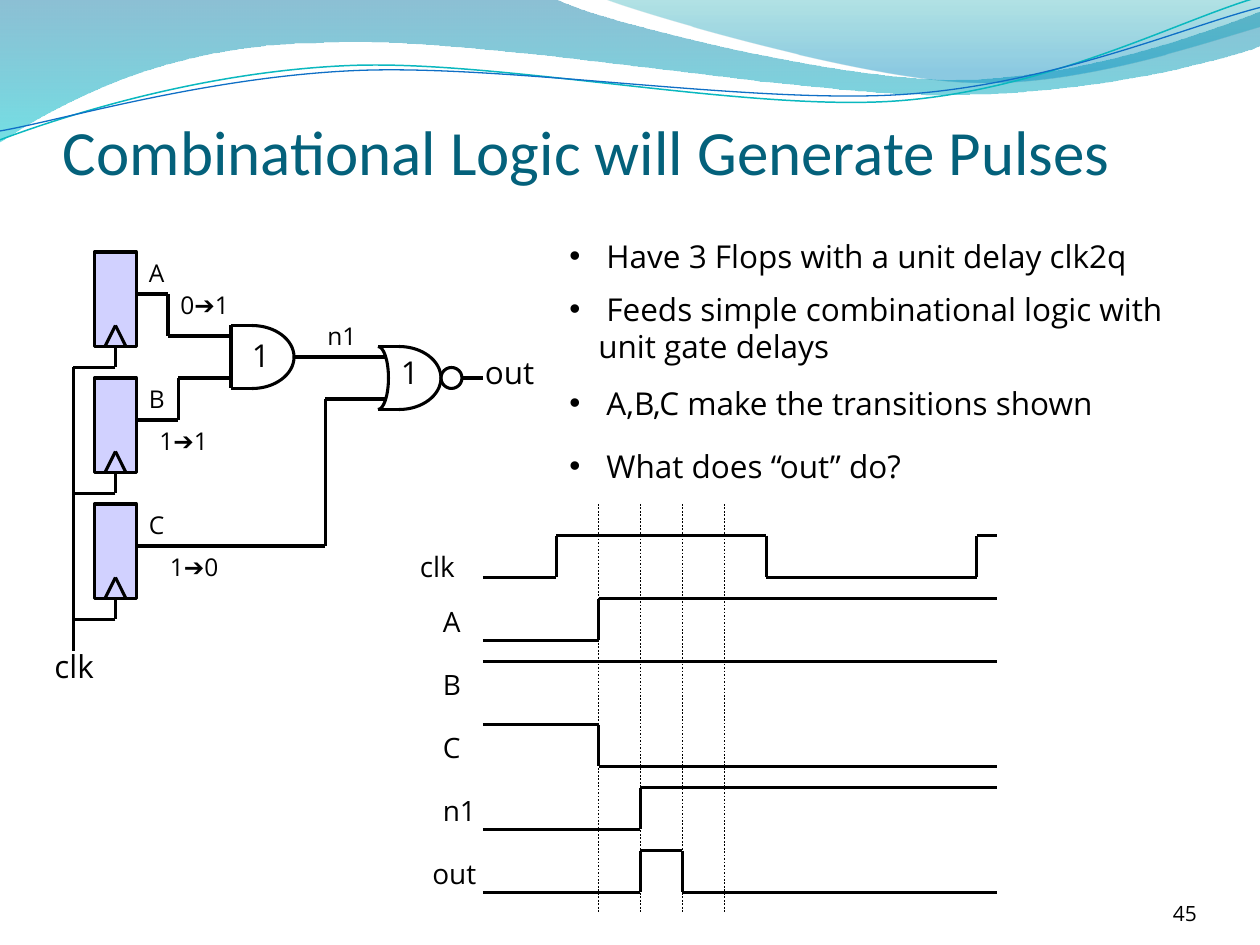
from math import cos, radians, sin

from lxml.etree import Element, SubElement
from pptx import Presentation
from pptx.dml.color import RGBColor
from pptx.enum.dml import MSO_LINE
from pptx.enum.shapes import MSO_CONNECTOR, MSO_SHAPE
from pptx.enum.text import MSO_ANCHOR, MSO_AUTO_SIZE, PP_ALIGN
from pptx.oxml.ns import qn
from pptx.util import Inches, Pt

COLORS = {"ink": "000000", "title": "04617B", "flop": "6969FF",
          "teal": "0AB8BF", "blue": "0F6FC6", "band_top": "0074A1",
          "band_low": "00C6CF", "corner_top": "00A1A9", "corner_low": "008BBF"}
BODY_FONT = "Open Sans"
GRID = 1 / 12  # circuit and waveforms sit on a grid of twelfths of an inch
TILT = 2.7


def set_alpha(color_node, percent):
    """Give a colour element an opacity in percent."""
    SubElement(color_node, qn("a:alpha")).set("val", str(percent * 1000))


def style_line(shape, color="ink", width=1.75):
    """Set line colour and width."""
    shape.line.color.rgb = RGBColor.from_string(COLORS[color])
    shape.line.width = Pt(width)


def add_text(page, box, text, size, font=BODY_FONT, color="ink", wrap=False,
             inset=True):
    """Place one paragraph in box (left, top, width, height in inches)."""
    frame = page.shapes.add_textbox(*map(Inches, box)).text_frame
    frame.word_wrap = wrap
    frame.auto_size = MSO_AUTO_SIZE.NONE if wrap else MSO_AUTO_SIZE.SHAPE_TO_FIT_TEXT
    if not inset:
        frame.margin_left = frame.margin_right = frame.margin_bottom = 0
        frame.vertical_anchor = MSO_ANCHOR.BOTTOM
    para = frame.paragraphs[0]
    para.text = text
    span = para.runs[0].font
    span.name, span.size = font, Pt(size)
    span.color.rgb = RGBColor.from_string(COLORS[color])
    return para


def to_inches(origin, cell):
    """Turn a grid cell counted from origin into inches."""
    return tuple(start + step * GRID for start, step in zip(origin, cell))


def add_label(page, origin, cell, text, size, width):
    """Place a short label at a grid cell counted from origin."""
    box = (*to_inches(origin, cell), width, size * 0.0175 + 0.085)
    add_text(page, box, text, size)


def add_wire(page, origin, points, width=1.75, dash=None):
    """Join grid points with straight lines."""
    spots = [tuple(map(Inches, to_inches(origin, point))) for point in points]
    for begin, end in zip(spots, spots[1:]):
        wire = page.shapes.add_connector(MSO_CONNECTOR.STRAIGHT, *begin, *end)
        style_line(wire, width=width)
        if dash:
            wire.line.dash_style = dash
        SubElement(wire._element.spPr, qn("a:effectLst"))


def add_outline(page, start, parts, close=False):
    """Draw an unfilled outline; a part of two points or more is a curve."""
    spots = [(Inches(x), Inches(y)) for part in parts for x, y in part]
    builder = page.shapes.build_freeform(*map(Inches, start))
    builder.add_line_segments(spots, close=close)
    shape = builder.convert_to_shape()
    shape.shadow.inherit = False
    shape.fill.background()
    lines = iter(list(shape._element.spPr.iter(qn("a:lnTo"))))
    for part in parts:
        steps = [next(lines) for _ in part]
        if len(steps) == 3:
            curve = Element(qn("a:cubicBezTo"))
            steps[0].addprevious(curve)
            for step in steps:
                curve.append(step[0])
                step.getparent().remove(step)
    return shape


def pair_up(*parts):
    """Split flat coordinate tuples into points."""
    return [list(zip(part[::2], part[1::2])) for part in parts]


def draw_band(page, start, parts, stops):
    """Draw one shaded band with see-through gradient stops."""
    band = add_outline(page, start, parts, close=True)
    band.line.fill.background()
    band.fill.gradient()
    band.fill.gradient_angle = 270
    for stop, (position, color, _) in zip(band.fill.gradient_stops, stops):
        stop.position = position
        stop.color.rgb = RGBColor.from_string(COLORS[color])
    for node, stop in zip(band._element.spPr.iter(qn("a:srgbClr")), stops):
        set_alpha(node, stop[2])


def draw_thread(page, center, start, parts, color, width):
    """Draw a thin curve, levelled around center and then tilted."""
    def level(point):
        across, down = point[0] - center[0], point[1] - center[1]
        turn = radians(TILT)
        return (center[0] + across * cos(turn) - down * sin(turn),
                center[1] + across * sin(turn) + down * cos(turn))
    thread = add_outline(page, level(start), [list(map(level, part)) for part in parts])
    thread.rotation = 360 - TILT
    style_line(thread, color, width)


def draw_waves(page):
    """Draw the shaded bands and two thin curves along the top."""
    draw_band(page, (0, -0.01),
              pair_up((4.4, -0.01), (4.76, 0.17, 6.64, 0.63, 7.58, 0.63),
                      (8.53, 0.63, 9.58, 0.26, 10, 0.09), (10.01, 0.36),
                      (9.83, 0.44, 8.7, 0.76, 7.46, 0.75),
                      (6.22, 0.75, 3.82, 0.28, 2.57, 0.34),
                      (1.29, 0.35, 0.46, 0.83, -0.01, 1.13), (0, -0.01)),
              [(0, "band_top", 45), (1, "band_low", 55)])
    draw_band(page, (4.79, -0.01),
              pair_up((5.09, 0.11, 6.82, 0.62, 7.69, 0.65),
                      (8.56, 0.69, 9.61, 0.32, 10, 0.21), (10, 0), (4.79, -0.01)),
              [(0, "corner_top", 30), (0.8, "corner_low", 45)])
    draw_thread(page, (4.99, 0.58), (0, 1.11),
                pair_up((0.48, 0.93, 1.58, 0.57, 2.77, 0.52),
                        (3.95, 0.47, 5.93, 0.89, 7.13, 0.8),
                        (8.33, 0.71, 9.38, 0.15, 9.98, -0.02)), "teal", 0.85)
    draw_thread(page, (5, 0.59), (0, 1.04),
                pair_up((0.47, 0.96, 1.64, 0.61, 2.83, 0.56),
                        (4.03, 0.51, 5.97, 0.83, 7.17, 0.75),
                        (8.36, 0.67, 9.41, 0.21, 10, 0.06)), "blue", 0.75)


def draw_preset(page, kind, origin, cell, size):
    """Draw an outlined preset shape on the grid."""
    box = (*to_inches(origin, cell), *(side * GRID for side in size))
    shape = page.shapes.add_shape(kind, *map(Inches, box))
    shape.shadow.inherit = False
    shape.fill.background()
    style_line(shape)
    return shape


def draw_flop(page, origin):
    """Draw a flip-flop with its clock notch and clock stem."""
    flop = draw_preset(page, MSO_SHAPE.RECTANGLE, origin, (2, 0), (4, 9))
    flop.fill.solid()
    flop.fill.fore_color.rgb = RGBColor.from_string(COLORS["flop"])
    set_alpha(flop._element.spPr.find(qn("a:solidFill"))[0], 30)
    add_wire(page, origin, [(3, 9), (4, 7), (5, 9)])
    add_wire(page, origin, [(4, 9), (4, 11), (0, 11)])


def draw_bow(page, origin, center, reach):
    """Draw a gate's curved side as two quarter arcs, 3 cells high each."""
    x, y = center
    for rise in (3, -3):
        cells = [(x + 0.55 * reach, y + rise), (x + reach, y + 0.55 * rise),
                 (x + reach, y)]
        arc = add_outline(page, to_inches(origin, (x, y + rise)),
                          [[to_inches(origin, cell) for cell in cells]])
        style_line(arc)


def draw_circuit(page, left, top):
    """Draw three flops feeding an AND gate and a NOR gate."""
    origin = (left, top)
    for row, name in enumerate("ABC"):
        draw_flop(page, (left, top + row))
        add_label(page, origin, (6, 12 * row), name, 14, 0.34)
    wires = [
        [(0, 11), (0, 38)],
        [(6, 4), (9, 4), (9, 8), (13, 8), (15, 8)],
        [(6, 16), (10, 16), (10, 12), (13, 12), (15, 12)],
        [(6, 28), (9, 28), (24, 28), (24, 14), (27, 14), (29.7, 14)],
        [(21, 10), (23, 10), (27, 10), (29.7, 10)],
        [(37, 12), (39, 12)],
        [(17, 7), (15, 7), (15, 13), (17, 13)],
        [(29, 9), (31, 9)],
        [(29, 15), (31, 15)],
    ]
    for points in wires:
        add_wire(page, origin, points)
    for center, reach in [((17, 10), 4), ((31, 12), 4), ((29, 12), 1)]:
        draw_bow(page, origin, center, reach)
    draw_preset(page, MSO_SHAPE.OVAL, origin, (35, 11), (2, 2))
    labels = [((9, 3), "0➔1", 14, 0.66), ((7, 16), "1➔1", 14, 0.66),
              ((8, 28), "1➔0", 14, 0.66), ((23, 6), "n1", 14, 0.45),
              ((15.8, 7.4), "1", 18, 0.36), ((30, 9), "1", 18, 0.36),
              ((38, 9), "out", 18, 0.61), ((-3, 37), "clk", 18, 0.55)]
    for label in labels:
        add_label(page, origin, *label)


def draw_timing(page, left, top):
    """Draw the waveforms: name, label cell, width, start level, toggle times."""
    origin, end = (left, top), 49
    signals = [("clk", (-7.2, 3.7), 0.51, 0, (7, 27, 47)),
               ("A", (-5, 9), 0.35, 0, (11,)), ("B", (-5, 15), 0.35, 1, ()),
               ("C", (-5, 21), 0.35, 1, (11,)), ("n1", (-5, 27), 0.48, 0, (15,)),
               ("out", (-6, 33), 0.56, 0, (15, 19))]
    for row, (name, cell, width, level, toggles) in enumerate(signals):
        low = 7 + 6 * row
        points = [(0, low - 4 * level)]
        for time in toggles:
            points.append((time, low - 4 * level))
            level = 1 - level
            points.append((time, low - 4 * level))
        add_wire(page, origin, points + [(end, low - 4 * level)])
        add_label(page, origin, cell, name, 16, width)
    for time in range(11, 24, 4):
        add_wire(page, origin, [(time, 0), (time, 39)], 1, MSO_LINE.ROUND_DOT)


def write_bullets(page, left, top):
    """Write the bulleted remarks at their offsets below top."""
    remarks = [(0, 4.99, 0.4, " Have 3 Flops with a unit delay clk2q"),
               (0.42, 5.17, 1, " Feeds simple combinational logic with unit gate delays"),
               (1.17, 5.17, 0.7, " A,B,C make the transitions shown"),
               (1.67, 5.17, 0.7, " What does “out” do?")]
    for offset, width, height, text in remarks:
        para = add_text(page, (left, top + offset, width, height), text, 18, wrap=True)
        layout = para._p.get_or_add_pPr()
        layout.set("marL", str(Inches(0.23)))
        layout.set("indent", str(-Inches(0.23)))
        SubElement(layout, qn("a:buFont")).set("typeface", "Arial")
        SubElement(layout, qn("a:buChar")).set("char", "•")


def build_slide(page):
    """Place every region of the slide."""
    draw_waves(page)
    add_text(page, (0.5, 0.24, 9, 1.25), "Combinational Logic will Generate Pulses",
             36, "Calibri", "title", wrap=True, inset=False)
    number = add_text(page, (8.67, 6.95, 0.83, 0.4), "45", 12, wrap=True, inset=False)
    number.alignment = PP_ALIGN.RIGHT
    draw_circuit(page, 7 * GRID, 2)
    write_bullets(page, 4.42, 1.83)
    draw_timing(page, 46 * GRID, 4)


deck = Presentation()
deck.slide_width, deck.slide_height = Inches(10), Inches(7.5)
build_slide(deck.slides.add_slide(deck.slide_layouts[6]))
deck.save("out.pptx")
